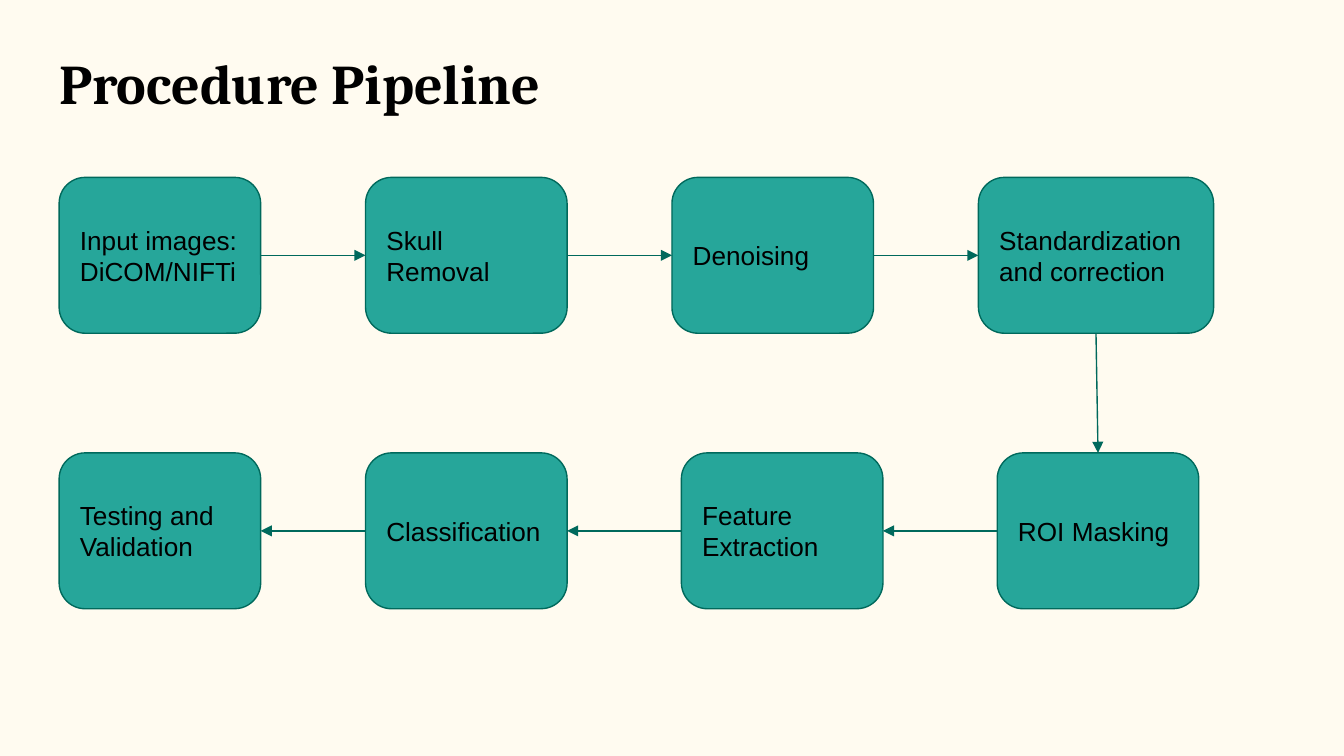
from pptx import Presentation
from pptx.dml.color import RGBColor
from pptx.enum.shapes import MSO_CONNECTOR as Link, MSO_SHAPE as Shape
from pptx.enum.text import MSO_ANCHOR as Anchor, MSO_AUTO_SIZE as Fit, PP_ALIGN as Align
from pptx.oxml.ns import qn
from pptx.util import Inches, Pt
from lxml.etree import SubElement

CREAM = RGBColor(0xFF, 0xFB, 0xF0)
TEAL = RGBColor(0x26, 0xA6, 0x9A)
DARK = RGBColor(0x00, 0x69, 0x5C)
BLACK = RGBColor(0, 0, 0)

TITLE = "Procedure Pipeline"
STEPS = [
    (0, 0, ["Input images:", "DiCOM/NIFTi"]),
    (1, 0, ["Skull Removal"]),
    (2, 0, ["Denoising"]),
    (3, 0, ["Standardization and correction"]),
    (3, 1, ["ROI Masking"]),
    (2, 1, ["Feature Extraction"]),
    (1, 1, ["Classification"]),
    (0, 1, ["Testing and Validation"]),
]
LEFT, TOP = 0.44, 1.32
COL, ROW = 2.28, 2.05
WIDE, HIGH = 1.5, 1.16
EXTRA = {(3, 0): 0.25}
SHIFT = {(2, 1): 0.07, (3, 1): 0.14}
TOP_SITE, LEFT_SITE, LOW_SITE, RIGHT_SITE = range(4)


def write(frame, lines, font, size, bold=False):
    frame.word_wrap = True
    frame.auto_size = Fit.NONE
    frame.margin_left = frame.margin_right = Inches(0.1)
    frame.margin_top = frame.margin_bottom = Inches(0.1)
    for i, line in enumerate(lines):
        para = frame.paragraphs[0] if i == 0 else frame.add_paragraph()
        para.alignment = Align.LEFT
        run = para.add_run()
        run.text = line
        run.font.name = font
        run.font.size = Pt(size)
        run.font.bold = bold
        run.font.color.rgb = BLACK


def add_step(slide, col, row, lines):
    cell = col, row
    box = slide.shapes.add_shape(
        Shape.ROUNDED_RECTANGLE,
        Inches(LEFT + col * COL + SHIFT.get(cell, 0)),
        Inches(TOP + row * ROW),
        Inches(WIDE + EXTRA.get(cell, 0)),
        Inches(HIGH),
    )
    box.shadow.inherit = False
    box.fill.solid()
    box.fill.fore_color.rgb = TEAL
    box.line.color.rgb = DARK
    box.line.width = Pt(0.75)
    box.text_frame.vertical_anchor = Anchor.MIDDLE
    write(box.text_frame, lines, "Arial", 14)
    return box


def add_arrow(slide, start, end, out, into):
    arrow = slide.shapes.add_connector(Link.STRAIGHT, 0, 0, 0, 0)
    arrow.begin_connect(start, out)
    arrow.end_connect(end, into)
    arrow.line.color.rgb = DARK
    arrow.line.width = Pt(0.75)
    props = arrow.element.spPr
    SubElement(props.find(qn("a:ln")), qn("a:tailEnd"), type="triangle")
    SubElement(props, qn("a:effectLst"))


def main():
    deck = Presentation()
    deck.slide_width = Inches(10)
    deck.slide_height = deck.slide_width * 9 // 16
    slide = deck.slides.add_slide(deck.slide_layouts[5])
    slide.background.fill.solid()
    slide.background.fill.fore_color.rgb = CREAM

    title = slide.shapes.title
    title.left, title.top = Inches(0.34), Inches(0.26)
    title.width, title.height = Inches(9.32), Inches(0.67)
    title.text_frame.vertical_anchor = Anchor.TOP
    write(title.text_frame, [TITLE], "Cambria", 30, True)

    boxes = [add_step(slide, *step) for step in STEPS]
    for i, (start, end) in enumerate(zip(boxes, boxes[1:])):
        if STEPS[i][1] != STEPS[i + 1][1]:
            sites = LOW_SITE, TOP_SITE
        elif STEPS[i][1] == 0:
            sites = RIGHT_SITE, LEFT_SITE
        else:
            sites = LEFT_SITE, RIGHT_SITE
        add_arrow(slide, start, end, *sites)

    deck.save("out.pptx")


if __name__ == "__main__":
    main()
